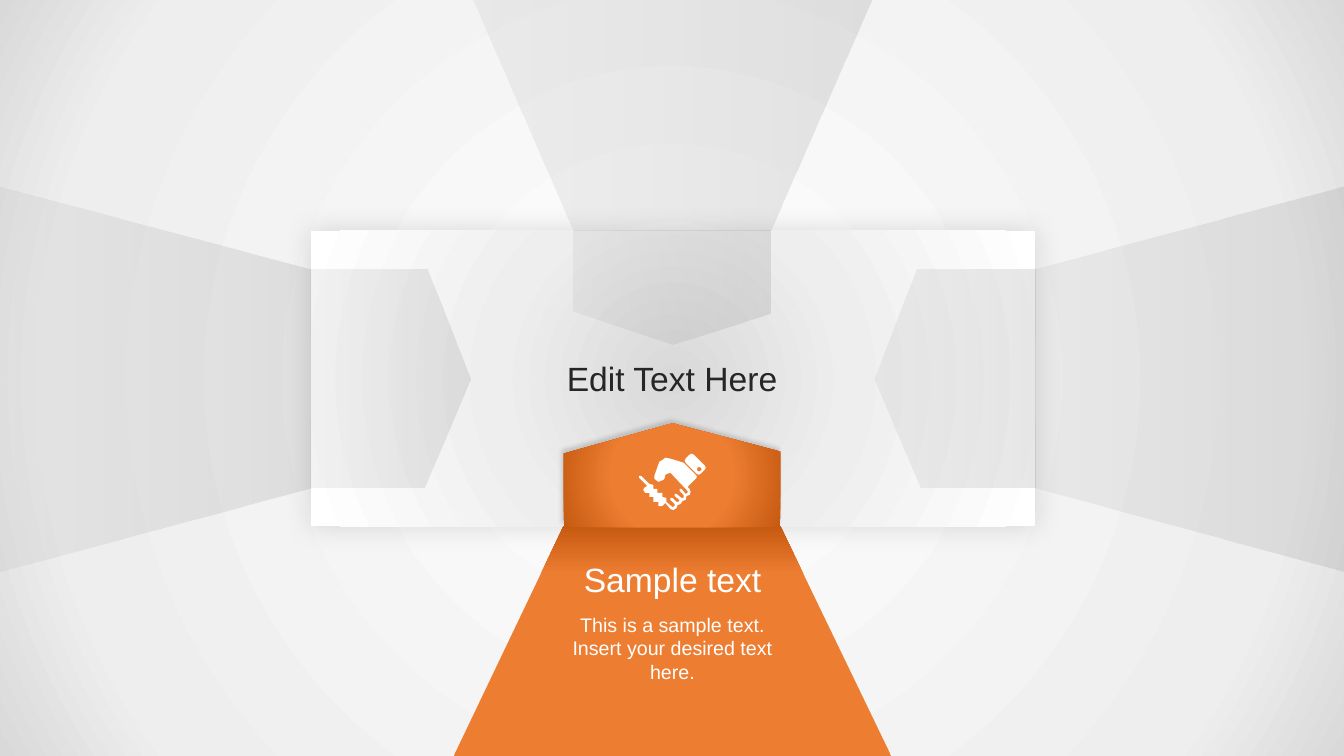
from lxml import etree
from pptx import Presentation
from pptx.dml.color import RGBColor
from pptx.enum.shapes import MSO_SHAPE
from pptx.enum.text import MSO_ANCHOR, MSO_AUTO_SIZE, PP_ALIGN
from pptx.oxml.ns import qn
from pptx.util import Inches, Pt

WHITE = RGBColor(0xFF, 0xFF, 0xFF)
PALE = RGBColor(0xEE, 0xEE, 0xEE)
SILVER = RGBColor(0xD9, 0xD9, 0xD9)
ORANGE = RGBColor(0xED, 0x7D, 0x31)
RUST = RGBColor(0xC5, 0x5A, 0x11)
GREY = RGBColor(0xA5, 0xA5, 0xA5)
DARK_GREY = RGBColor(0x7C, 0x7C, 0x7C)
INK = RGBColor(0x26, 0x26, 0x26)
BLACK = RGBColor(0, 0, 0)

# Gradient stops: position, colour, opacity (all in percent)
BACKDROP = [(0, WHITE, 100), (81, PALE, 100), (100, SILVER, 100)]
PANEL = [(0, SILVER, 100), (45, PALE, 100), (100, WHITE, 100)]
ORANGE_FLAP = [(0, ORANGE, 100), (79, ORANGE, 100), (100, RUST, 100)]
ORANGE_TAB = [(0, ORANGE, 100), (50, ORANGE, 100), (100, RUST, 100)]
GREY_FLAP = [(0, GREY, 14), (100, DARK_GREY, 18)]

GREY_OUTLINES = [
    [(3.08, 2.67), (4.24, 2.67), (4.67, 3.76), (4.21, 4.84), (3.08, 4.84)],
    [(0, 1.85), (3.08, 2.67), (3.08, 4.84), (0, 5.67)],
    [(4.7, 0.01), (8.64, 0.01), (7.64, 2.29), (5.69, 2.29)],
    [(5.69, 2.29), (7.64, 2.29), (7.64, 3.11), (6.67, 3.42), (5.69, 3.09)],
    [(13.33, 1.85), (13.33, 5.67), (10.27, 4.84), (10.27, 2.67)],
    [(9.09, 2.67), (10.27, 2.67), (10.27, 4.84), (9.13, 4.84), (8.67, 3.76)],
]
HANDS = [
    (6.78, 4.59), (6.65, 4.55), (6.6, 4.54), (6.56, 4.57), (6.54, 4.58), (6.49, 4.72),
    (6.49, 4.75), (6.53, 4.78), (6.58, 4.76), (6.59, 4.75), (6.6, 4.71), (6.62, 4.7),
    (6.65, 4.69), (6.82, 4.87), (6.82, 4.89), (6.8, 4.9), (6.76, 4.85), (6.74, 4.85),
    (6.74, 4.87), (6.78, 4.91), (6.78, 4.94), (6.76, 4.94), (6.71, 4.9), (6.69, 4.9),
    (6.69, 4.92), (6.74, 4.96), (6.73, 4.98), (6.71, 4.98), (6.67, 4.94), (6.65, 4.94),
    (6.65, 4.96), (6.69, 5), (6.69, 5.02), (6.67, 5.03), (6.61, 4.98), (6.61, 4.94),
    (6.57, 4.93), (6.57, 4.89), (6.52, 4.89), (6.52, 4.85), (6.48, 4.85), (6.48, 4.81),
    (6.44, 4.8), (6.36, 4.72), (6.34, 4.72), (6.34, 4.74), (6.42, 4.82), (6.39, 4.84),
    (6.38, 4.86), (6.4, 4.89), (6.44, 4.89), (6.44, 4.93), (6.48, 4.93), (6.48, 4.98),
    (6.53, 4.98), (6.53, 5.02), (6.57, 5.02), (6.6, 4.99), (6.65, 5.05), (6.68, 5.06),
    (6.71, 5.04), (6.72, 5.01), (6.75, 5), (6.77, 4.97), (6.8, 4.96), (6.81, 4.92),
    (6.84, 4.91), (6.85, 4.88), (6.84, 4.85), (6.82, 4.83), (6.91, 4.74), (6.91, 4.72),
]
CUFF = [
    (6.99, 4.62), (6.88, 4.51), (6.86, 4.5), (6.84, 4.51), (6.8, 4.55), (6.79, 4.57),
    (6.8, 4.59), (6.91, 4.7), (6.93, 4.71), (6.95, 4.7), (6.99, 4.66), (7, 4.64),
]
BUTTON = [
    (6.93, 4.68), (6.92, 4.67), (6.91, 4.66), (6.92, 4.64),
    (6.93, 4.63), (6.95, 4.64), (6.96, 4.66), (6.95, 4.67),
]


def add_colour(parent, colour, opacity):
    node = etree.SubElement(parent, qn("a:srgbClr"), val=str(colour))
    if opacity < 100:
        etree.SubElement(node, qn("a:alpha"), val=str(opacity * 1000))


def set_gradient(properties, stops, angle=None):
    """Swap the solid fill for a gradient: linear with an angle, else circular."""
    gradient = etree.Element(qn("a:gradFill"), rotWithShape="1")
    stop_list = etree.SubElement(gradient, qn("a:gsLst"))
    for position, colour, opacity in stops:
        stop = etree.SubElement(stop_list, qn("a:gs"), pos=str(position * 1000))
        add_colour(stop, colour, opacity)
    if angle is None:
        circle = etree.SubElement(gradient, qn("a:path"), path="circle")
        etree.SubElement(circle, qn("a:fillToRect"), {side: "50000" for side in "ltrb"})
    else:
        etree.SubElement(gradient, qn("a:lin"), ang=str(angle * 60000), scaled="0")
    properties.replace(properties.find(qn("a:solidFill")), gradient)


class SlideBuilder:
    def __init__(self, page, font_name):
        self.page = page
        self.font_name = font_name

    def background(self, stops):
        self.page.background.fill.solid()
        set_gradient(self.page.element.find(".//" + qn("p:bgPr")), stops)

    def paint(self, shape, stops=None, angle=None, shadow=None):
        """Fill white or with a gradient; shadow is opacity, blur, distance, direction."""
        shape.line.fill.background()
        shape.fill.solid()
        shape.fill.fore_color.rgb = WHITE
        shape.shadow.inherit = False
        properties = shape.element.spPr
        if stops:
            set_gradient(properties, stops, angle)
        if shadow:
            opacity, blur, distance, direction = shadow
            outer = etree.SubElement(
                properties.find(qn("a:effectLst")), qn("a:outerShdw"),
                blurRad=str(Pt(blur)), dist=str(Pt(distance)),
                dir=str(direction * 60000), algn="ctr", rotWithShape="0")
            add_colour(outer, BLACK, opacity)

    def rectangle(self, left, top, width, height, **style):
        shape = self.page.shapes.add_shape(
            MSO_SHAPE.RECTANGLE, Inches(left), Inches(top), Inches(width), Inches(height))
        self.paint(shape, **style)

    def outline(self, *contours, **style):
        contours = [[(Inches(x), Inches(y)) for x, y in points] for points in contours]
        builder = self.page.shapes.build_freeform(*contours[0][0])
        for index, points in enumerate(contours):
            if index:
                builder.move_to(*points[0])
            builder.add_line_segments(points[1:], close=True)
        self.paint(builder.convert_to_shape(), **style)

    def text(self, left, top, width, height, lines, size, colour,
             anchor=MSO_ANCHOR.TOP, wrap=True):
        box = self.page.shapes.add_textbox(
            Inches(left), Inches(top), Inches(width), Inches(height))
        frame = box.text_frame
        frame.word_wrap = wrap
        frame.auto_size = MSO_AUTO_SIZE.SHAPE_TO_FIT_TEXT
        frame.vertical_anchor = anchor
        for index, line in enumerate(lines):
            para = frame.add_paragraph() if index else frame.paragraphs[0]
            para.alignment = PP_ALIGN.CENTER
            span = para.add_run()
            span.text = line
            span.font.name = self.font_name
            span.font.size = Pt(size)
            span.font.color.rgb = colour


def main():
    deck = Presentation()
    deck.slide_width, deck.slide_height = Inches(13.33), Inches(7.5)
    page = deck.slides.add_slide(deck.slide_layouts[6])
    slide = SlideBuilder(page, "Arial")

    slide.background(BACKDROP)
    slide.rectangle(3.08, 2.29, 7.19, 2.93, stops=PANEL, shadow=(13, 20, 0, 0))
    slide.outline([(5.59, 5.22), (7.74, 5.22), (8.84, 7.5), (4.5, 7.5)],
                  stops=ORANGE_FLAP, angle=270)
    slide.outline([(6.67, 4.2), (7.74, 4.48), (7.74, 5.23), (5.59, 5.23), (5.59, 4.5)],
                  stops=ORANGE_TAB, shadow=(14, 3, 3, 247))
    slide.outline(HANDS)
    slide.outline(CUFF, BUTTON)

    slide.text(5.55, 6.03, 2.24, 0.81,
               ["This is a sample text.", "Insert your desired text here."], 14, WHITE)
    slide.text(5.64, 5.5, 2.06, 0.5, ["Sample text"], 24, WHITE)
    slide.text(5.51, 3.5, 2.31, 0.5, ["Edit Text Here"], 24, INK,
               anchor=MSO_ANCHOR.MIDDLE, wrap=False)

    for points in GREY_OUTLINES:
        slide.outline(points, stops=GREY_FLAP, angle=0)

    deck.save("out.pptx")


if __name__ == "__main__":
    main()
